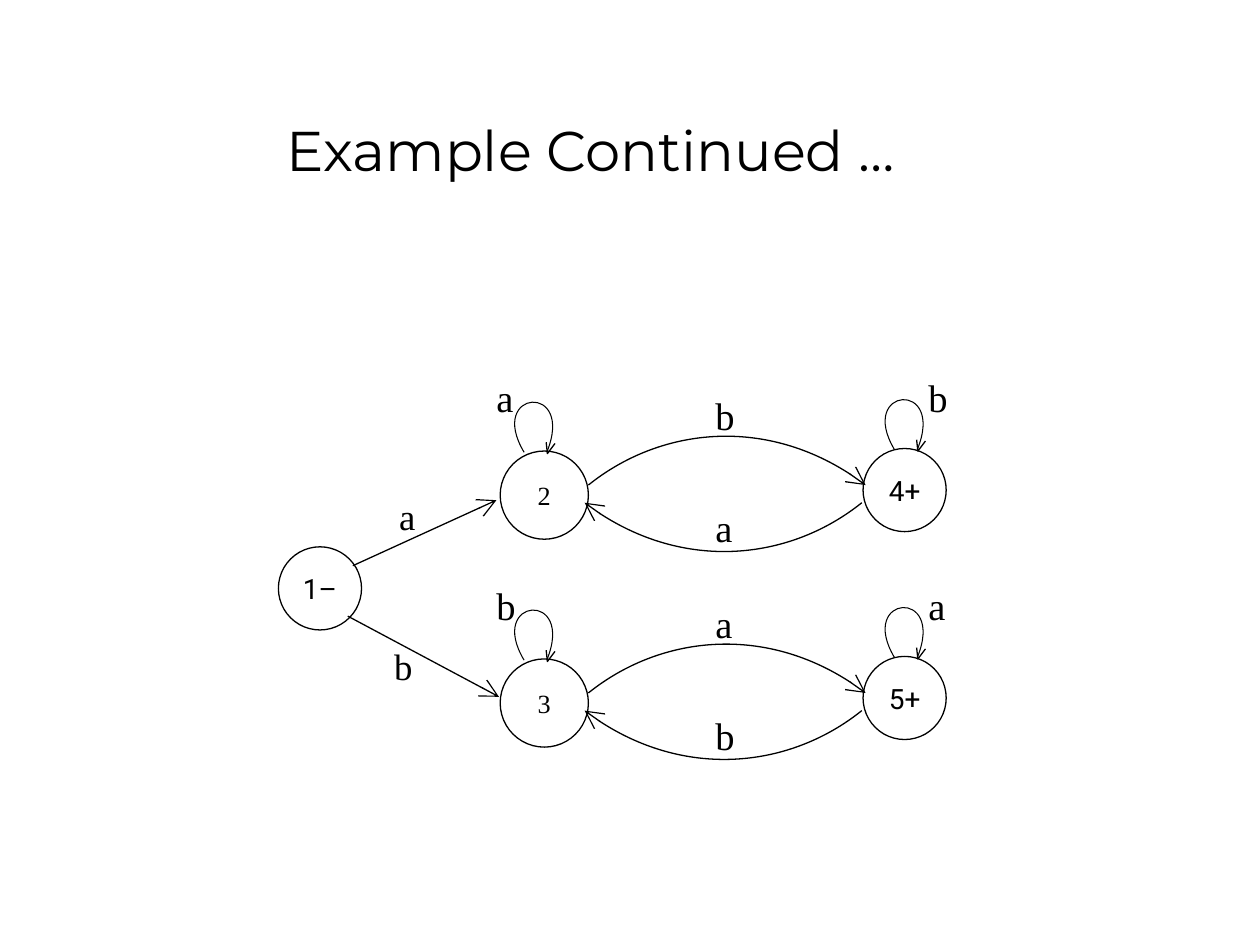
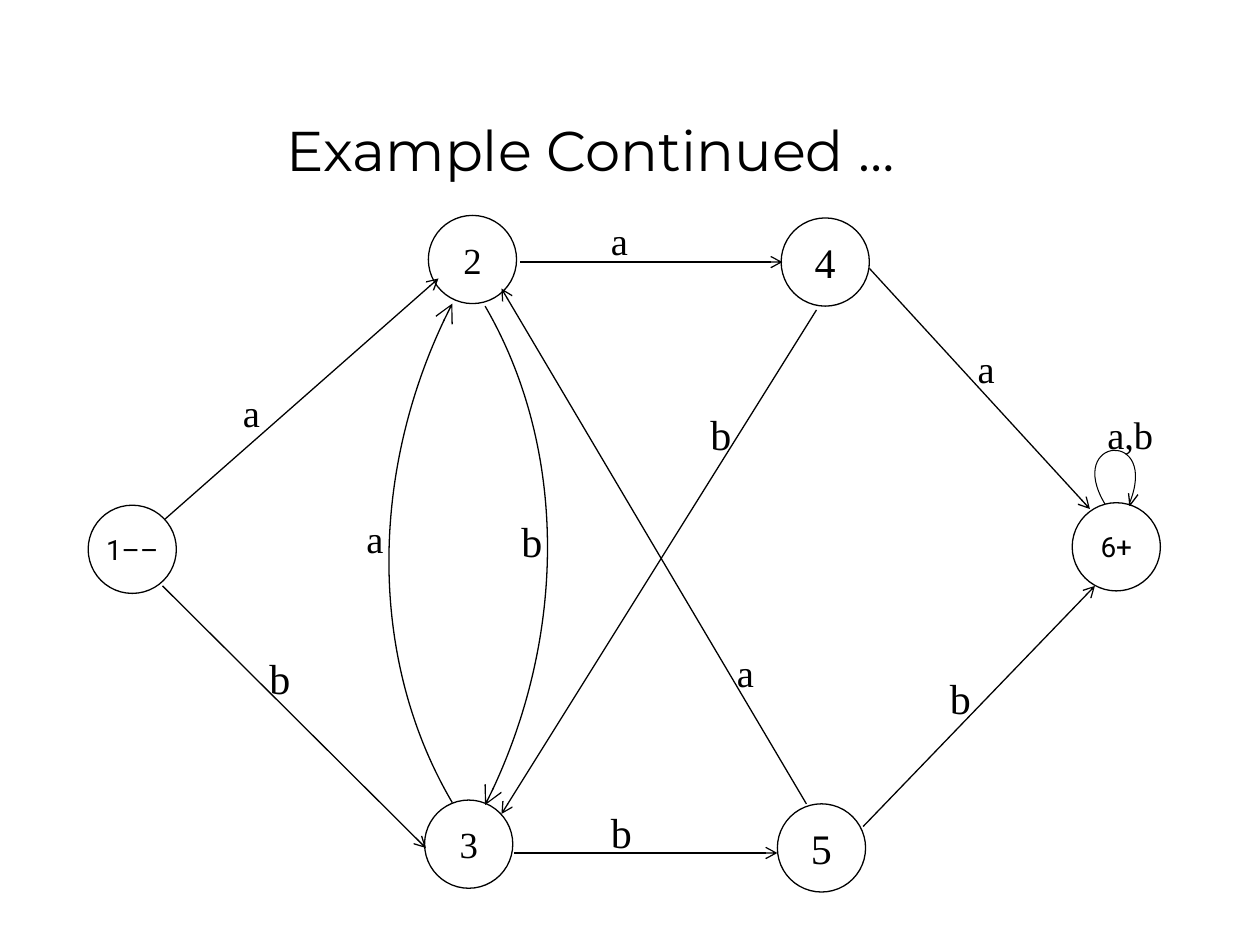
from dataclasses import dataclass

from lxml.etree import SubElement
from pptx import Presentation
from pptx.dml.color import RGBColor
from pptx.enum.shapes import MSO_CONNECTOR, MSO_SHAPE
from pptx.enum.text import MSO_ANCHOR, PP_ALIGN
from pptx.oxml.ns import qn
from pptx.util import Inches, Pt

INK, PAPER = "000000", "FFFFFF"
TITLE_FONT, STATE_FONT, LABEL_FONT = "Montserrat", "Roboto", "Times New Roman"
TITLE_ONLY = 5
CELL = 0.1  # inches per grid column and row
LABEL_SIZE = (9.8, 6.7)


@dataclass
class Region:
    """A part of the page, measured in grid columns and rows from its corner."""
    page: object
    left: float
    top: float

    def point(self, column, row):
        return Inches((self.left + column) * CELL), Inches((self.top + row) * CELL)


def span(cells):
    return Inches(cells * CELL)


def color(value):
    return RGBColor.from_string(value)


def set_text(shape, text, size, font, align=PP_ALIGN.LEFT):
    para = shape.text_frame.paragraphs[0]
    para.text = text
    para.alignment = align
    para.font.size = Pt(size)
    para.font.name = font
    para.font.color.rgb = color(INK)


def set_line(shape, width=0.75, head=None):
    """Draw a thin dark line; head is the arrowhead size, "med" or "lg"."""
    shape.line.color.rgb = color(INK)
    shape.line.width = Pt(width)
    if head:
        outline = shape.line._get_or_add_ln()
        SubElement(outline, qn("a:tailEnd"), type="arrow", w=head, len=head)


def add_title(page, text):
    title = page.shapes.title
    title.left, title.top = Inches(0.44), Inches(0.25)
    title.width, title.height = Inches(8.5), Inches(1.25)
    title.text_frame.vertical_anchor = MSO_ANCHOR.BOTTOM
    set_text(title, text, 32, TITLE_FONT, PP_ALIGN.CENTER)


def add_state(region, corner, diameter, name, size=16, font=STATE_FONT):
    circle = region.page.shapes.add_shape(
        MSO_SHAPE.OVAL, *region.point(*corner), span(diameter), span(diameter))
    circle.shadow.inherit = False
    circle.fill.solid()
    circle.fill.fore_color.rgb = color(PAPER)
    set_line(circle)
    frame = circle.text_frame
    frame.word_wrap = False
    frame.vertical_anchor = MSO_ANCHOR.MIDDLE
    frame.margin_left = frame.margin_right = 0
    frame.margin_top = frame.margin_bottom = 0
    set_text(circle, name, size, font, PP_ALIGN.CENTER)


def add_label(region, corner, text, size=22, extent=LABEL_SIZE):
    box = region.page.shapes.add_textbox(
        *region.point(*corner), *(span(cells) for cells in extent))
    box.text_frame.word_wrap = True
    set_text(box, text, size, LABEL_FONT)


def add_arrow(region, start, end, head="med"):
    arrow = region.page.shapes.add_connector(
        MSO_CONNECTOR.STRAIGHT, *region.point(*start), *region.point(*end))
    set_line(arrow, head=head)
    SubElement(arrow._element.spPr, qn("a:effectLst"))


def add_polyline(region, points, width=0.75, head=None):
    start, *rest = [region.point(*point) for point in points]
    builder = region.page.shapes.build_freeform(*start)
    builder.add_line_segments(rest, close=False)
    outline = builder.convert_to_shape()
    outline.shadow.inherit = False
    outline.fill.background()
    set_line(outline, width, head)
    return outline


def add_curve(region, points, width=0.75, head=None):
    """Draw one cubic curve through start, two control points and end."""
    outline = add_polyline(region, points, width, head)
    segments = list(outline._element.iter(qn("a:lnTo")))
    curve = SubElement(segments[0].getparent(), qn("a:cubicBezTo"))
    for segment in segments:
        curve.append(segment[0])
        segment.getparent().remove(segment)


def add_loop(region, start, scale=1.0):
    """Draw a self-transition that rises from start and returns beside it."""
    def place(offsets):
        return [(start[0] + x * scale, start[1] + y * scale) for x, y in offsets]

    add_curve(region, place([(0, 0), (-3, -5), (4.1, -5.6), (1.8, 0)]), 0.6)
    add_polyline(region, place([(2.45, -0.7), (1.85, 0.1), (1.75, -0.8)]))


def draw_start(region):
    add_state(region, (2.1, 5.4), 6.6, "1–")
    add_arrow(region, (8, 6.9), (19.4, 1.7), "lg")
    add_arrow(region, (7.6, 10.9), (19.6, 17.3), "lg")
    add_label(region, (10.7, 0.7), "a", 21, (7, 7.1))
    add_label(region, (10.3, 12.6), "b", 21, (7, 5.3))


def draw_state_pair(region, left_name, right_name, stay, leave):
    """Draw two states; stay keeps the left one and leave moves to the right one."""
    add_state(region, (1.7, 6.8), 7, left_name, 15, LABEL_FONT)
    add_state(region, (30.5, 6.6), 6.6, right_name)
    add_loop(region, (3.6, 6.9))
    add_loop(region, (33, 6.7))
    add_curve(region, [(8.7, 9.5), (14.3, 5), (23.4, 3.9), (30.7, 9.5)], head="lg")
    add_curve(region, [(30.4, 10.9), (24.8, 15.4), (15.7, 16.5), (8.4, 10.9)], head="lg")
    add_label(region, (0.4, 0.2), stay)
    add_label(region, (34.7, 0.2), leave)
    add_label(region, (17.8, 1.6), leave, extent=(4.1, 4))
    add_label(region, (17.8, 10.5), stay, extent=(4.9, 5))


def draw_six_states(region):
    states = [("2", 29, 1.1, 21), ("3", 28.7, 47.5, 21),
              ("4", 57, 1.3, 24), ("5", 56.7, 47.8, 24)]
    for name, column, row, size in states:
        add_state(region, (column, row), 7, name, size, LABEL_FONT)
    add_state(region, (2, 24.1), 7, "1––")
    add_state(region, (80.1, 23.9), 7, "6+")
    add_loop(region, (82.7, 24), 1.07)

    add_curve(region, [(33.5, 8.3), (40, 19.5), (40, 35.1), (33.5, 47.9)], head="lg")
    add_curve(region, [(30.9, 47.7), (24.3, 36.5), (24.3, 20.9), (30.9, 8.1)], head="lg")
    arrows = [((36.3, 4.8), (57.1, 4.8)), ((35.8, 51.7), (56.7, 51.7)),
              ((8.1, 25.2), (29.8, 6.1)), ((7.9, 30.5), (28.8, 51.3)),
              ((63.5, 49.6), (81.9, 30.5)), ((64, 5.3), (81.5, 24.4)),
              ((59, 47.8), (34.8, 6.9)), ((59.8, 8.6), (34.8, 48.6))]
    for start, end in arrows:
        add_arrow(region, start, end)

    labels = {
        "a": [(13.3, 14.4), (42.5, 0.7), (71.6, 10.9), (23.1, 24.4), (52.5, 35)],
        "b": [(15.4, 35.3), (42.5, 47.5), (69.4, 36.9), (35.4, 24.4), (50.4, 15.9)],
        "a,b": [(81.9, 16.1)],
    }
    for text, corners in labels.items():
        for corner in corners:
            add_label(region, corner, text, 24 if text == "b" else 22)


def add_page(deck):
    page = deck.slides.add_slide(deck.slide_layouts[TITLE_ONLY])
    add_title(page, "Example Continued …")
    return page


def main():
    deck = Presentation()
    deck.slide_width, deck.slide_height = Inches(10), Inches(7.5)

    page = add_page(deck)
    draw_start(Region(page, 20, 38))
    draw_state_pair(Region(page, 38, 29), "2", "4+", "a", "b")
    draw_state_pair(Region(page, 38, 45.5), "3", "5+", "b", "a")

    draw_six_states(Region(add_page(deck), 5, 16))
    deck.save("out.pptx")


if __name__ == "__main__":
    main()
